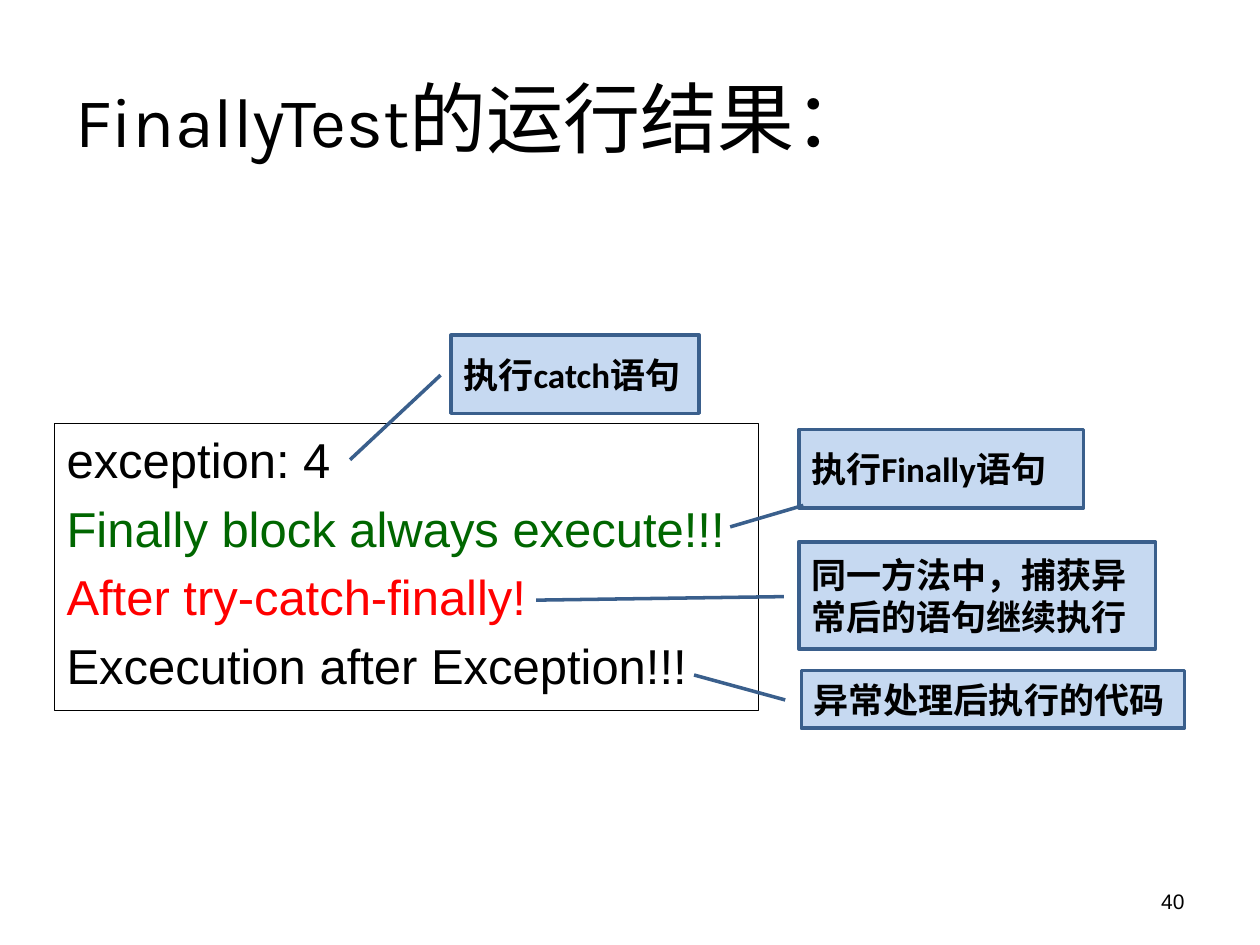
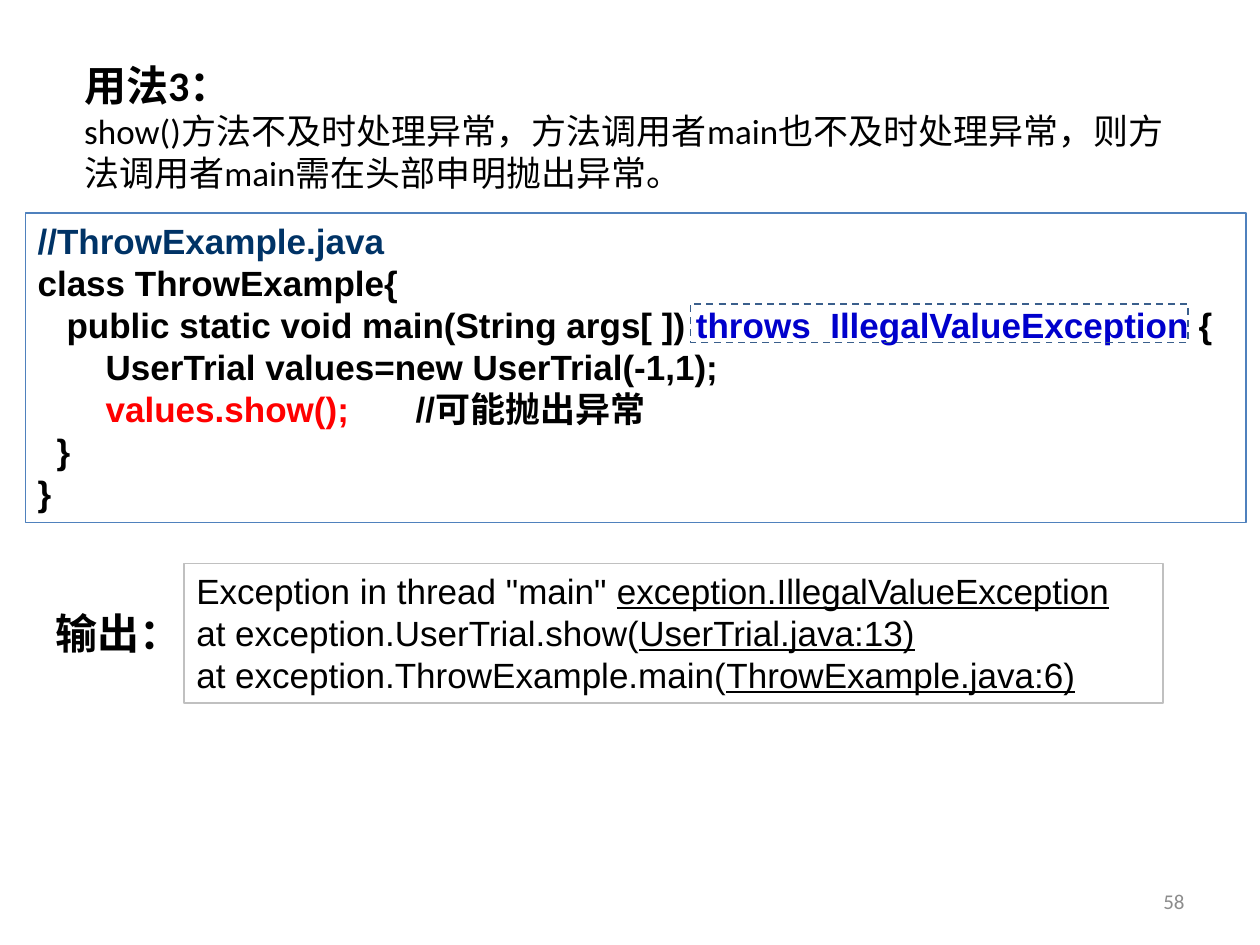
"""Build two slides on Java exception handling: finally output and a throws example."""
from pptx import Presentation
from pptx import util as u
from pptx.dml.color import RGBColor
from pptx.enum import dml, shapes, text
from pptx.oxml import ns
from lxml import etree

BLACK = RGBColor(0x00, 0x00, 0x00)
GREEN = RGBColor(0x00, 0x66, 0x00)
RED = RGBColor(0xFF, 0x00, 0x00)
NAVY = RGBColor(0x00, 0x33, 0x66)
BLUE = RGBColor(0x00, 0x00, 0xCC)
GREY = RGBColor(0x8C, 0x8C, 0x8C)
SILVER = RGBColor(0xC0, 0xC0, 0xC0)
FRAME = RGBColor(0x4F, 0x81, 0xBD)
CALLOUT_FILL = RGBColor(0xC6, 0xD9, 0xF1)
CALLOUT_LINE = RGBColor(0x3A, 0x5F, 0x8C)

RECT = shapes.MSO_SHAPE.RECTANGLE
CALLOUT = shapes.MSO_SHAPE.LINE_CALLOUT_1
MIDDLE = text.MSO_ANCHOR.MIDDLE
TOP = text.MSO_ANCHOR.TOP
LEFT = text.PP_ALIGN.LEFT
RIGHT = text.PP_ALIGN.RIGHT


def add_box(s, at, kind=None, line=None, width=0.75, fill=None):
    """Add a text box, or an outlined shape when a preset kind is given."""
    at = [u.Inches(v) for v in at]
    if kind is None:
        return s.shapes.add_textbox(*at)
    sp = s.shapes.add_shape(kind, *at)
    sp.shadow.inherit = False
    sp.line.color.rgb = line
    sp.line.width = u.Pt(width)
    if fill is None:
        sp.fill.background()
    else:
        sp.fill.solid()
        sp.fill.fore_color.rgb = fill
    return sp


def write(sp, paras, base, anchor=TOP, align=LEFT, before=0):
    """Fill a shape with paragraphs of (text, format changes) runs."""
    tf = sp.text_frame
    tf.word_wrap = True
    tf.vertical_anchor = anchor
    for i, runs in enumerate(paras):
        p = tf.paragraphs[0] if i == 0 else tf.add_paragraph()
        p.alignment = align
        if before:
            p.space_before = u.Pt(before)
        for words, changes in runs:
            r = p.add_run()
            r.text = words
            fmt = {"color": BLACK, **base, **changes}
            r.font.color.rgb = fmt.pop("color")
            r.font.size = u.Pt(fmt.pop("size"))
            for key, value in fmt.items():
                setattr(r.font, key, value)
    return tf


prs = Presentation()
prs.slide_width, prs.slide_height = u.Inches(10), u.Inches(7.5)
result, usage = [prs.slides.add_slide(prs.slide_layouts[6]) for _ in range(2)]

title = [[("FinallyTest", {"name": "Karla", "size": 40}), ("的运行结果：", {})]]
write(add_box(result, (0.5, 0.3, 9, 1.25)), title, {"name": "Calibri", "size": 44}, MIDDLE)

console = [
    ("exception: 4", BLACK),
    ("Finally block always execute!!!", GREEN),
    ("After try-catch-finally!", RED),
    ("Excecution after Exception!!!", BLACK),
]
sp = add_box(result, (0.43, 3.36, 5.59, 2.28), RECT, BLACK)
write(sp, [[(words, {"color": color})] for words, color in console],
      {"name": "Arial", "size": 28}, before=5.6)

callouts = [
    ("执行Finally语句", (6.34, 3.41, 2.26, 0.62), (0.97, 0.016, 1.245, -0.241)),
    ("异常处理后执行的代码", (6.36, 5.32, 3.04, 0.46), (0.512, -0.042, 0.082, -0.28)),
    ("同一方法中，捕获异常后的语句继续执行", (6.34, 4.3, 2.83, 0.85), (0.512, -0.042, 0.545, -0.737)),
    ("执行catch语句", (3.58, 2.66, 1.97, 0.62), (0.512, -0.042, 1.595, -0.407)),
]
for words, at, pointer in callouts:
    sp = add_box(result, at, CALLOUT, CALLOUT_LINE, 2, CALLOUT_FILL)
    for i, value in enumerate(pointer):
        sp.adjustments[i] = value
    write(sp, [[(words, {})]], {"name": "Calibri", "size": 20, "bold": True}, MIDDLE)

code = [
    ([], [("//ThrowExample.java", {"color": NAVY})]),
    ([], [("class ThrowExample{", {})]),
    ([0.23], [("\tpublic static void main(String args[ ]) ", {}),
              ("throws", {"color": BLUE}), (" ", {}),
              ("IllegalValueException ", {"color": BLUE}), ("{", {})]),
    ([0.54], [("\tUserTrial values=new UserTrial(-1,1);", {})]),
    ([0.54, 3], [("\tvalues.show();\t", {"color": RED}), ("//可能抛出异常", {})]),
    ([0.15], [("\t}", {})]),
    ([], [("}", {})]),
]
sp = add_box(usage, (0.2, 1.69, 9.69, 2.46), RECT, FRAME)
tf = write(sp, [runs for _, runs in code], {"name": "Arial", "size": 20, "bold": True})
for p, (stops, _) in zip(tf.paragraphs, code):
    if stops:
        tabs = etree.SubElement(p._p.get_or_add_pPr(), ns.qn("a:tabLst"))
        for stop in stops:
            etree.SubElement(tabs, ns.qn("a:tab"), pos=str(u.Inches(stop)), algn="l")
    for r in p.runs:
        if r.text == " ":
            r._r.get_or_add_rPr().set("spc", "556")

intro = [
    [("用法3：", {"size": 24, "bold": True})],
    [("show()方法不及时处理异常，方法调用者main也不及时处理异常，则方法调用者main需在头部申明抛出异常。", {})],
]
write(add_box(usage, (0.57, 0.42, 8.86, 1.13)), intro, {"name": "Calibri", "size": 20})

trace = [
    ('Exception in thread "main" ', "exception.IllegalValueException"),
    ("at exception.UserTrial.show(", "UserTrial.java:13)"),
    ("at exception.ThrowExample.main(", "ThrowExample.java:6)"),
]
sp = add_box(usage, (1.46, 4.47, 7.77, 1.11), RECT, SILVER)
write(sp, [[(plain, {}), (link, {"underline": True})] for plain, link in trace],
      {"name": "Arial", "size": 20})
write(add_box(usage, (0.34, 4.77, 0.99, 0.5)), [[("输出：", {})]],
      {"name": "Arial", "size": 24, "bold": True})
sp = add_box(usage, (5.48, 2.41, 3.95, 0.31), RECT, CALLOUT_LINE, 1)
sp.line.dash_style = dml.MSO_LINE.DASH

for s, number, font, color in [(result, "40", "Arial", BLACK), (usage, "58", "Calibri", GREY)]:
    write(add_box(s, (7.17, 6.95, 2.33, 0.4)), [[(number, {})]],
          {"name": font, "size": 12, "color": color}, MIDDLE, RIGHT)

prs.save("out.pptx")
